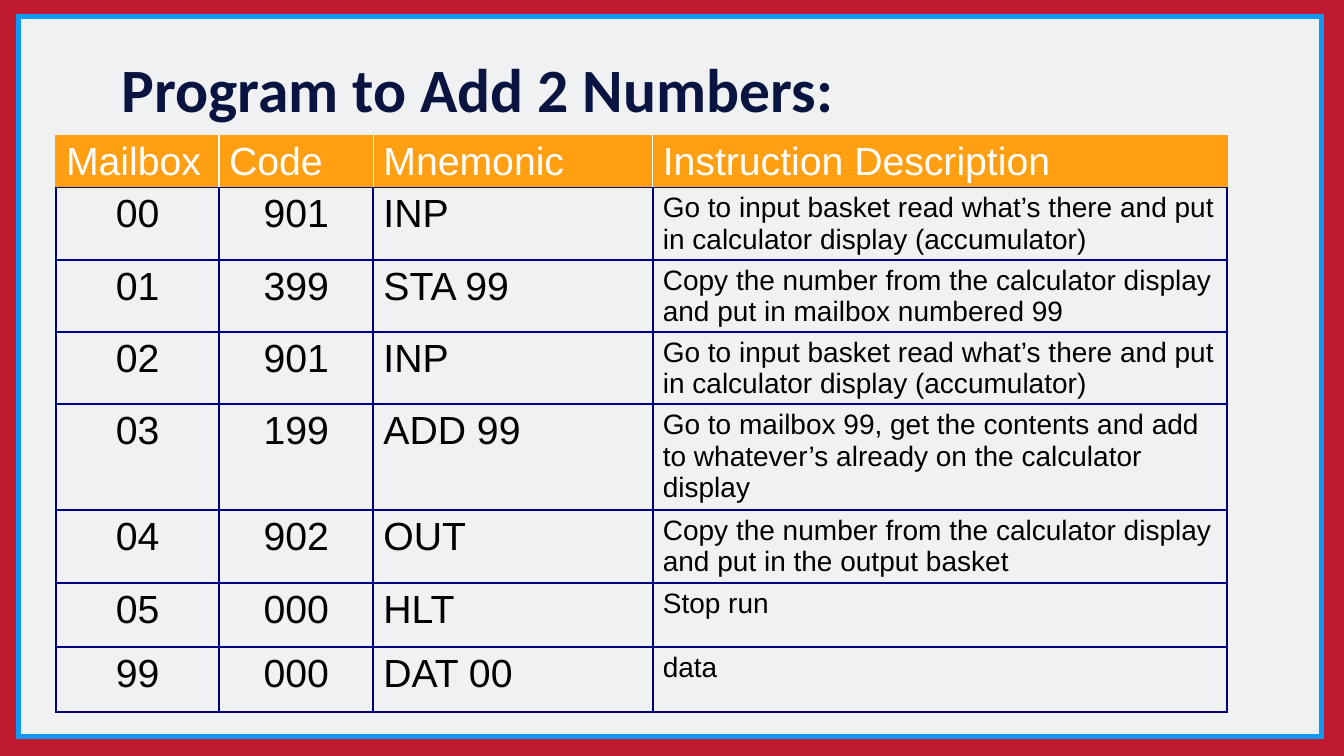
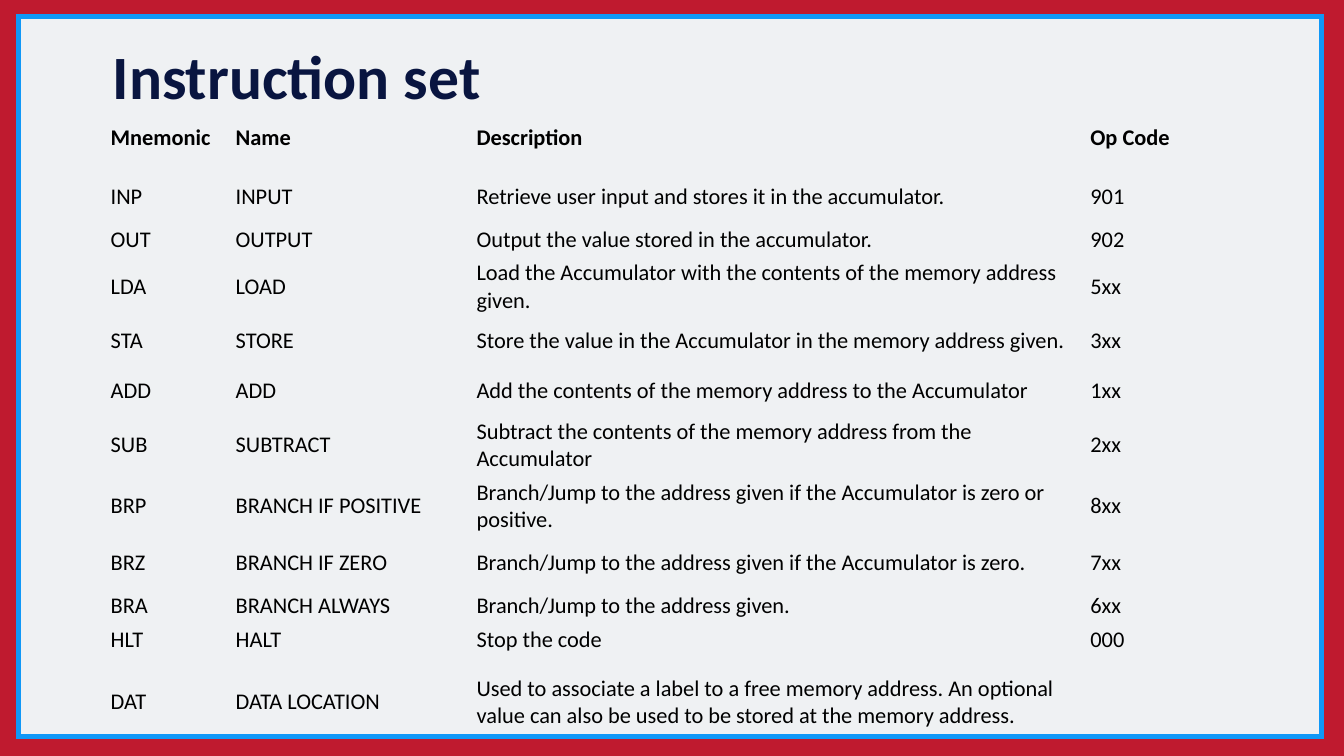
"""Build two slides on a simple instruction set: a sample program and its reference table."""
from dataclasses import dataclass

from lxml import etree
from pptx import Presentation
from pptx import util as u
from pptx.dml.color import RGBColor
from pptx.enum import shapes, text
from pptx.oxml import ns


@dataclass(frozen=True)
class Theme:
    frame: str = "BF1A2F"
    panel: str = "EFF1F3"
    outline: str = "1098F7"
    title: str = "091540"
    header: str = "FF9F11"
    grid: str = "000080"
    light: str = "FFFFFF"
    dark: str = "000000"
    heading_font: str = "Calibri"
    program_font: str = "Arial"
    title_size: int = 44
    code_size: int = 28
    note_size: int = 20
    reference_size: int = 16
    panel_line: float = 3.5
    grid_line: float = 1.5
    header_line: float = 1
    plain_table: str = "{2D5ABB26-0587-4C30-8999-92F81FD0307C}"


theme = Theme()


def add_run(paragraph, words, font, size, color, bold=False):
    run = paragraph.add_run()
    run.text = words
    run.font.name = font
    run.font.size = u.Pt(size)
    run.font.color.rgb = RGBColor.from_string(color)
    run.font.bold = bold


def set_borders(cell, borders):
    properties = cell._tc.get_or_add_tcPr()
    for position, (side, (color, width)) in enumerate(borders.items()):
        line = etree.Element(ns.qn(f"a:ln{side}"), w=str(u.Pt(width)))
        fill = etree.SubElement(line, ns.qn("a:solidFill"))
        etree.SubElement(fill, ns.qn("a:srgbClr"), val=color)
        properties.insert(position, line)


presentation = Presentation()
presentation.slide_width = u.Cm(33.87)
presentation.slide_height = u.Cm(19.05)
background = presentation.slide_master.background.fill
background.solid()
background.fore_color.rgb = RGBColor.from_string(theme.frame)

program_rows = [
    ("Mailbox", "Code", "Mnemonic", "Instruction Description"),
    ("00", "901", "INP", "Go to input basket read what’s there and put in calculator display (accumulator)"),
    ("01", "399", "STA 99", "Copy the number from the calculator display and put in mailbox numbered 99"),
    ("02", "901", "INP", "Go to input basket read what’s there and put in calculator display (accumulator)"),
    ("03", "199", "ADD 99",
     "Go to mailbox 99, get the contents and add to whatever’s already on the calculator display"),
    ("04", "902", "OUT", "Copy the number from the calculator display and put in the output basket"),
    ("05", "000", "HLT", "Stop run"),
    ("99", "000", "DAT 00", "data"),
]
instruction_rows = [
    ("Mnemonic", "Name", "Description", "Op Code"),
    ("INP", "INPUT", "Retrieve user input and stores it in the accumulator.", "901"),
    ("OUT", "OUTPUT", "Output the value stored in the accumulator.", "902"),
    ("LDA", "LOAD", "Load the Accumulator with the contents of the memory address given.", "5xx"),
    ("STA", "STORE", "Store the value in the Accumulator in the memory address given.", "3xx"),
    ("ADD", "ADD", "Add the contents of the memory address to the Accumulator", "1xx"),
    ("SUB", "SUBTRACT", "Subtract the contents of the memory address from the Accumulator", "2xx"),
    ("BRP", "BRANCH IF POSITIVE",
     "Branch/Jump to the address given if the Accumulator is zero or positive.", "8xx"),
    ("BRZ", "BRANCH IF ZERO", "Branch/Jump to the address given if the Accumulator is zero.", "7xx"),
    ("BRA", "BRANCH ALWAYS", "Branch/Jump to the address given.", "6xx"),
    ("HLT", "HALT", "Stop the code", "000"),
    ("DAT", "DATA LOCATION", "Used to associate a label to a free memory address. "
     "An optional value can also be used to be stored at the memory address.", ""),
]

pages = [
    dict(title="Program to Add 2 Numbers:", title_at=(2.82, 0.76), spacing=0.85,
         rows=program_rows, table_at=(1.41, 3.41), table_height=15.29,
         widths=[4.11, 3.89, 7.04, 14.48],
         heights=[1.24, 1.63, 1.45] + [1.63] * 5),
    dict(title="Instruction set", title_at=(2.59, 0.41), spacing=0.9,
         rows=instruction_rows, table_at=(2.69, 2.59), table_height=16.23,
         widths=[3.15, 6.07, 15.47, 4.7],
         heights=[1.75, 1.24, 0.91] + [1.27] * 4 + [1.63, 1.24, 0.91, 0.51, 2.39]),
]

tables = []
for page in pages:
    slide = presentation.slides.add_slide(presentation.slide_layouts[6])
    panel = slide.shapes.add_shape(
        shapes.MSO_SHAPE.RECTANGLE, u.Cm(0.47), u.Cm(0.41), u.Cm(32.84), u.Cm(18.14))
    panel.shadow.inherit = False
    panel.fill.solid()
    panel.fill.fore_color.rgb = RGBColor.from_string(theme.panel)
    panel.line.color.rgb = RGBColor.from_string(theme.outline)
    panel.line.width = u.Pt(theme.panel_line)
    etree.SubElement(panel.line._get_or_add_ln(), ns.qn("a:miter"), lim="800000")

    left, top = page["title_at"]
    title = slide.shapes.add_textbox(u.Cm(left), u.Cm(top), u.Cm(29.36), u.Cm(3.18))
    title.text_frame.word_wrap = True
    title.text_frame.vertical_anchor = text.MSO_ANCHOR.MIDDLE
    paragraph = title.text_frame.paragraphs[0]
    paragraph.line_spacing = page["spacing"]
    add_run(paragraph, page["title"], theme.heading_font, theme.title_size, theme.title, True)

    left, top = page["table_at"]
    table_shape = slide.shapes.add_table(
        len(page["rows"]), len(page["widths"]), u.Cm(left), u.Cm(top),
        u.Cm(sum(page["widths"])), u.Cm(page["table_height"]))
    table = table_shape.table
    table.first_row = table.horz_banding = False
    table._tbl.tblPr.find(ns.qn("a:tableStyleId")).text = theme.plain_table
    for column, width in zip(table.columns, page["widths"]):
        column.width = u.Cm(width)
    for row, height in zip(table.rows, page["heights"]):
        row.height = u.Cm(height)
    table_shape.height = u.Cm(page["table_height"])
    tables.append(table)

program, instructions = tables

grid = (theme.grid, theme.grid_line)
edge = (theme.header, theme.header_line)
divider = (theme.light, theme.header_line)
for row_index, values in enumerate(program_rows):
    is_header = row_index == 0
    for column_index, value in enumerate(values):
        is_first, is_last = column_index == 0, column_index == len(values) - 1
        cell = program.cell(row_index, column_index)
        cell.margin_bottom = u.Cm(0)
        paragraph = cell.text_frame.paragraphs[0]
        if is_header:
            cell.fill.solid()
            cell.fill.fore_color.rgb = RGBColor.from_string(theme.header)
            borders = dict(L=edge if is_first else divider, R=edge if is_last else divider, T=edge, B=grid)
        else:
            cell.fill.background()
            borders = dict.fromkeys("LRTB", grid)
            if column_index < 2:
                paragraph.alignment = text.PP_ALIGN.CENTER
        set_borders(cell, borders)
        size = theme.note_size if is_last and not is_header else theme.code_size
        add_run(paragraph, value, theme.program_font, size, theme.light if is_header else theme.dark)

for row_index, values in enumerate(instruction_rows):
    for column_index, value in enumerate(values):
        cell = instructions.cell(row_index, column_index)
        cell.fill.background()
        cell.vertical_anchor = text.MSO_ANCHOR.MIDDLE
        cell.margin_left = cell.margin_right = u.Cm(0.1)
        cell.margin_top = cell.margin_bottom = u.Cm(0.05)
        if value:
            add_run(cell.text_frame.paragraphs[0], value, theme.heading_font,
                    theme.reference_size, theme.dark, row_index == 0)

presentation.save("out.pptx")
